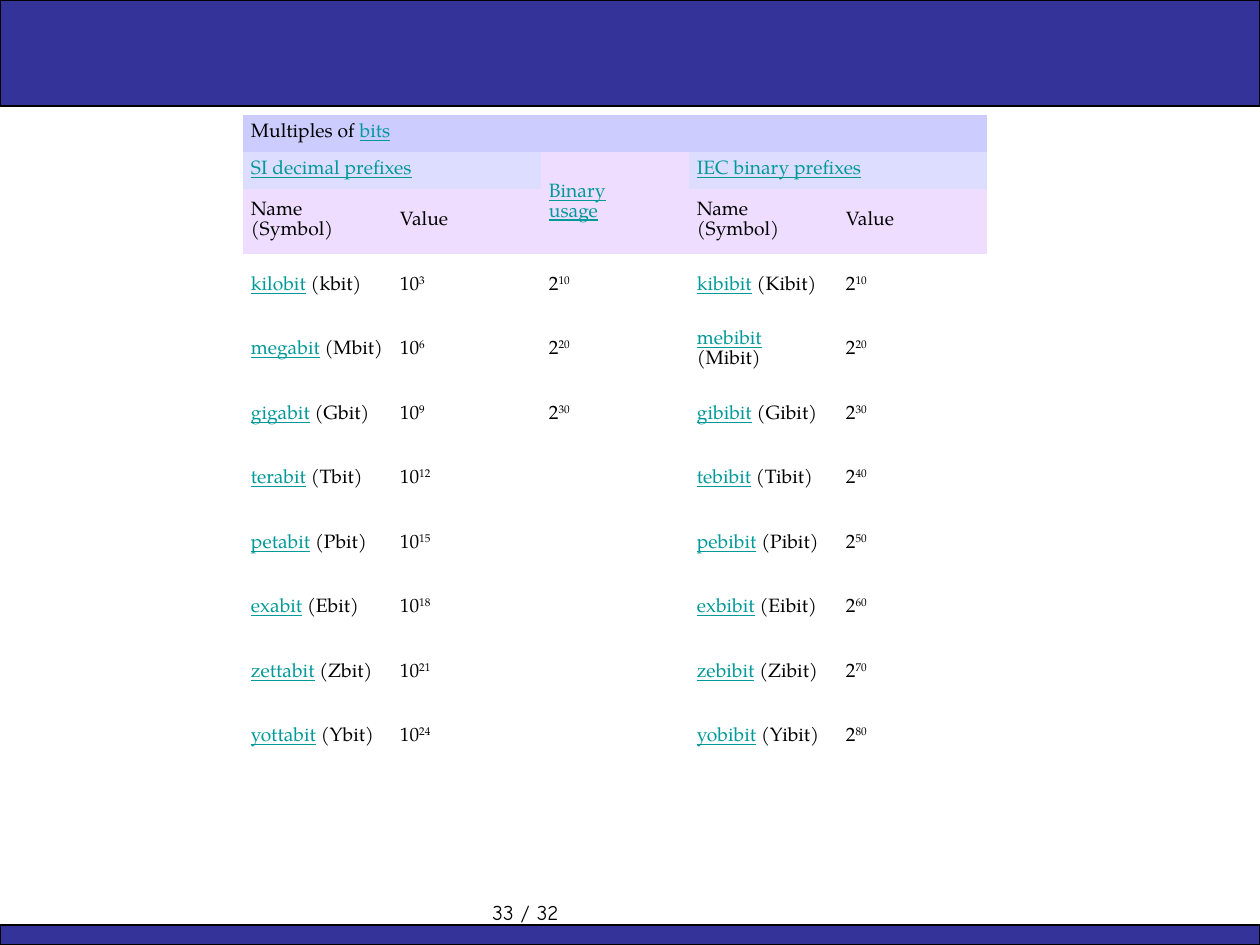
from copy import deepcopy

from pptx import Presentation
from pptx.dml.color import RGBColor
from pptx.enum.shapes import MSO_SHAPE
from pptx.enum.text import MSO_ANCHOR, PP_ALIGN
from pptx.util import Pt

PX = 914400 // 126
COLORS = {"bar": "333399", "ink": "000000", "link": "009999", "title": "CCCCFF",
          "group": "DDDDFF", "heading": "EEDDFF"}
SERIF, SANS = "TeX Gyre Pagella", "Comic Neue"

BARS = [(0, 0, 1260, 106), (0, 925, 1260, 20)]
PAGE_NUMBER = "33 / 32"
# (row, column, rows spanned, columns spanned, plain text, link text, fill)
HEADINGS = [
    (0, 0, 1, 5, "Multiples of ", "bits", "title"),
    (1, 0, 1, 2, "", "SI decimal prefixes", "group"),
    (1, 2, 2, 1, "", "Binary\nusage", "heading"),
    (1, 3, 1, 2, "", "IEC binary prefixes", "group"),
    (2, 0, 1, 1, "Name\n(Symbol)", "", "heading"),
    (2, 1, 1, 1, "Value", "", "heading"),
    (2, 3, 1, 1, "Name\n(Symbol)", "", "heading"),
    (2, 4, 1, 1, "Value", "", "heading"),
]
# SI name, symbol, power of 10, power of 2 in binary usage, IEC name, symbol, power of 2
UNITS = [
    ("kilobit", "kbit", 3, 10, "kibibit", "Kibit", 10),
    ("megabit", "Mbit", 6, 20, "mebibit", "Mibit", 20),
    ("gigabit", "Gbit", 9, 30, "gibibit", "Gibit", 30),
    ("terabit", "Tbit", 12, None, "tebibit", "Tibit", 40),
    ("petabit", "Pbit", 15, None, "pebibit", "Pibit", 50),
    ("exabit", "Ebit", 18, None, "exbibit", "Eibit", 60),
    ("zettabit", "Zbit", 21, None, "zebibit", "Zibit", 70),
    ("yottabit", "Ybit", 24, None, "yobibit", "Yibit", 80),
]
TABLE_LEFT, TABLE_TOP, TABLE_WIDTH, TABLE_HEIGHT = 243, 115, 744, 655
GROUP_ROWS, GROUP_ROW_HEIGHT, COLUMNS = 2, 37, 5
NO_TABLE_STYLE = "{2D5ABB26-0587-4C30-8999-92F81FD0307C}"


def rgb(name):
    return RGBColor.from_string(COLORS[name])


def emu(*lengths):
    return [length * PX for length in lengths]


def split_evenly(total, count):
    """Whole-pixel parts that add up to total."""
    edges = [round(total * i / count) for i in range(count + 1)]
    return [end - start for start, end in zip(edges, edges[1:])]


def write(paragraph, text, font=SERIF, size=11, color="ink", underline=False, raised=False):
    first_line, *more_lines = text.split("\n")

    def add_line(line):
        run = paragraph.add_run()
        run.text = line
        run.font.name, run.font.size = font, Pt(size)
        run.font.color.rgb = rgb(color)
        run.font.underline = underline
        if raised:
            run.font._element.set("baseline", "30000")
        return run

    run = add_line(first_line)
    for line in more_lines:
        paragraph.add_line_break()
        paragraph._p[-1].append(deepcopy(run.font._element))
        add_line(line)


def write_link(paragraph, text):
    write(paragraph, text, color="link", underline=True)


def write_unit(paragraph, name, symbol):
    write_link(paragraph, name)
    write(paragraph, f" ({symbol})")


def write_power(paragraph, base, exponent):
    write(paragraph, str(base))
    write(paragraph, str(exponent), raised=True)


def add_bar(slide, box):
    bar = slide.shapes.add_shape(MSO_SHAPE.RECTANGLE, *emu(*box))
    bar.shadow.inherit = False
    bar.fill.solid()
    bar.fill.fore_color.rgb = rgb("bar")
    bar.line.color.rgb = rgb("ink")
    bar.line.width = Pt(0.75)


def add_prefix_table(slide):
    body_rows = 1 + len(UNITS)
    heights = [GROUP_ROW_HEIGHT] * GROUP_ROWS + split_evenly(
        TABLE_HEIGHT - GROUP_ROWS * GROUP_ROW_HEIGHT, body_rows)
    box = emu(TABLE_LEFT, TABLE_TOP, TABLE_WIDTH, TABLE_HEIGHT)
    table = slide.shapes.add_table(len(heights), COLUMNS, *box).table
    table.first_row = table.horz_banding = False
    table._tbl.tblPr.find("{*}tableStyleId").text = NO_TABLE_STYLE
    for column, width in zip(table.columns, split_evenly(TABLE_WIDTH, COLUMNS)):
        column.width = width * PX
    for row, height in zip(table.rows, heights):
        row.height = height * PX
    for cell in table.iter_cells():
        cell.fill.background()
        cell.vertical_anchor = MSO_ANCHOR.MIDDLE
        cell.margin_left = cell.margin_right = 8 * PX
        cell.margin_top = cell.margin_bottom = 4 * PX
        cell.text_frame.paragraphs[0].alignment = PP_ALIGN.LEFT

    for row, col, row_span, col_span, plain, link, fill in HEADINGS:
        cell = table.cell(row, col)
        if row_span * col_span > 1:
            cell.merge(table.cell(row + row_span - 1, col + col_span - 1))
        cell.fill.solid()
        cell.fill.fore_color.rgb = rgb(fill)
        paragraph = cell.text_frame.paragraphs[0]
        if plain:
            write(paragraph, plain)
        if link:
            write_link(paragraph, link)

    first_unit_row = GROUP_ROWS + 1
    for row, unit in enumerate(UNITS, first_unit_row):
        si_name, si_symbol, ten_power, usage_power, iec_name, iec_symbol, two_power = unit
        si, decimal, usage, iec, binary = (
            table.cell(row, col).text_frame.paragraphs[0] for col in range(COLUMNS))
        write_unit(si, si_name, si_symbol)
        write_power(decimal, 10, ten_power)
        if usage_power:
            write_power(usage, 2, usage_power)
        write_unit(iec, iec_name, iec_symbol)
        write_power(binary, 2, two_power)


def main():
    deck = Presentation()
    deck.slide_width, deck.slide_height = emu(1260, 945)
    slide = deck.slides.add_slide(deck.slide_layouts[6])
    for box in BARS:
        add_bar(slide, box)
    add_prefix_table(slide)
    page = slide.shapes.add_textbox(*emu(480, 893, 294, 45)).text_frame
    page.word_wrap = True
    write(page.paragraphs[0], PAGE_NUMBER, font=SANS, size=12)
    deck.save("out.pptx")


if __name__ == "__main__":
    main()
